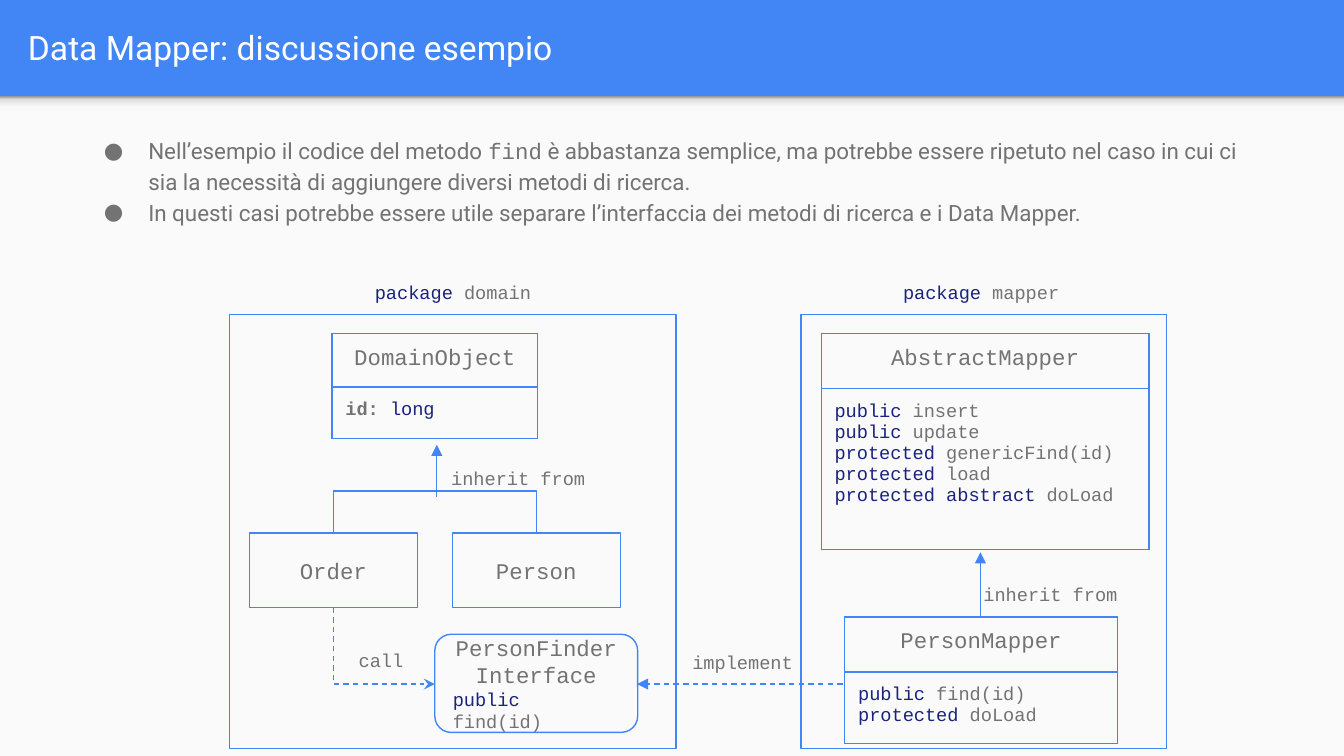
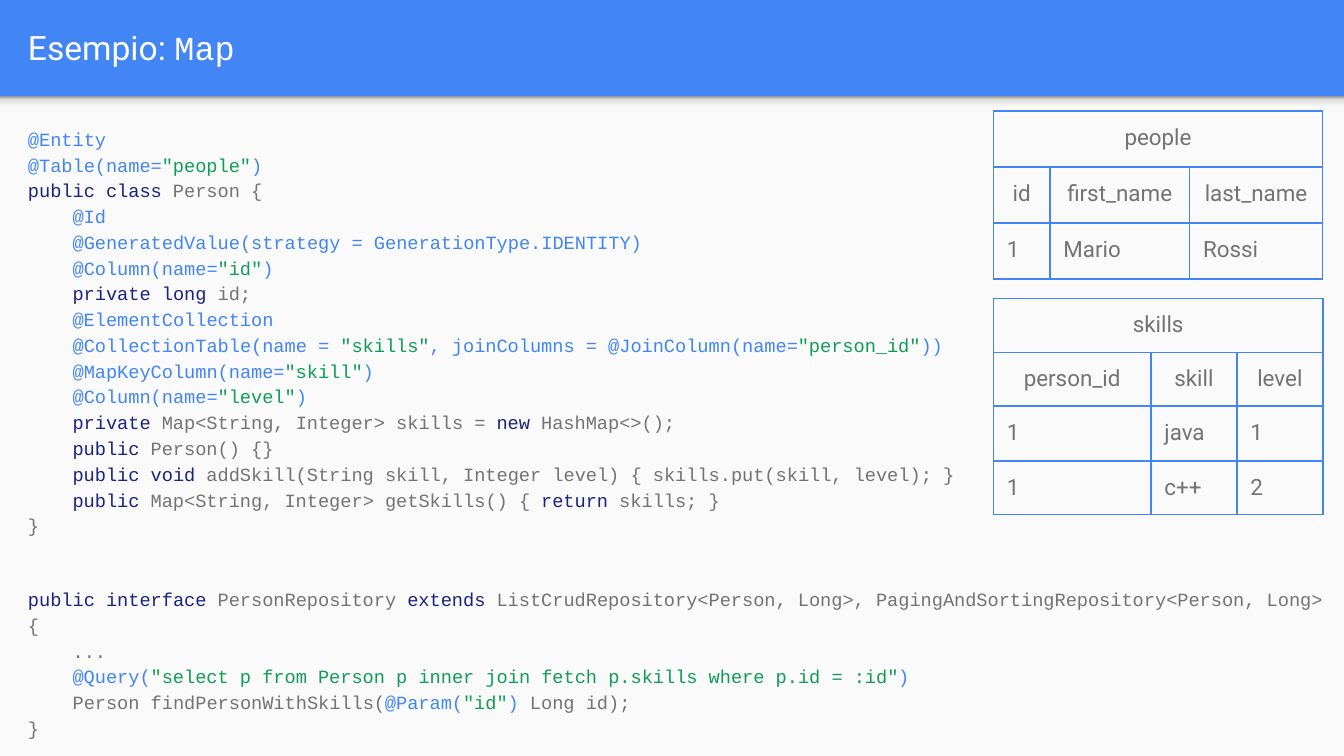
from dataclasses import dataclass

from pptx import Presentation
from pptx.dml.color import RGBColor
from pptx.enum.dml import MSO_LINE
from pptx.enum.shapes import MSO_CONNECTOR, MSO_SHAPE
from pptx.enum.text import MSO_ANCHOR, PP_ALIGN
from pptx.oxml import parse_xml
from pptx.oxml.ns import nsdecls, qn
from pptx.oxml.xmlchemy import OxmlElement
from pptx.util import Inches, Pt

COLUMNS, ROWS = 100, 56.25
UNIT = Inches(10) / COLUMNS
MARGIN = Inches(0.1)
LINE_WIDTH = Pt(0.75)
CODE_SPACING = 1.15
TABLE_FRAME_SIDE = 32.8

COLORS = {
    "blue": "4285F4",
    "paper": "FAFAFA",
    "white": "FFFFFF",
    "gray": "737373",
    "navy": "1A237E",
    "green": "0F9D58",
}
SHADOW_STOPS = [(0, "F9F9F9"), (36, "F9F9F9"), (80, "DEDEDE"), (100, "999999")]

STYLES = {
    "h": ("Roboto", 18, "white", False),
    "m": ("Courier New", 18, "white", False),
    "r": ("Roboto", 12, "gray", False),
    "n": ("Courier New", 12, "gray", False),
    "t": ("Courier New", 10, "gray", False),
    "b": ("Courier New", 10, "gray", True),
    "k": ("Courier New", 10, "navy", False),
    "a": ("Courier New", 10, "blue", False),
    "s": ("Courier New", 10, "green", False),
}

ENTITY_CODE = """~a@Entity
~a@Table(name=~s"people"~a)
~kpublic class~t Person {
~t    ~a@Id
~a    @GeneratedValue(strategy = GenerationType.IDENTITY)
~a    @Column(name=~s"id"~a)
~t    ~kprivate long~t id;
~t    ~a@ElementCollection
~a    @CollectionTable(name = ~s"skills"~a, joinColumns = @JoinColumn(name=~s"person_id"~a))
~a    @MapKeyColumn(name=~s"skill"~a)
~a    @Column(name=~s"level"~a)
~t    ~kprivate~t Map<String, Integer> skills = ~knew~t HashMap<>();
~t    ~kpublic~t Person() {}
~t    ~kpublic void~t addSkill(String skill, Integer level) { skills.put(skill, level); }
~t    ~kpublic~t Map<String, Integer> getSkills() { ~kreturn~t skills; }
~t}"""

REPOSITORY_CODE = """~kpublic interface~t PersonRepository ~kextends~t ListCrudRepository<Person, Long>, PagingAndSortingRepository<Person, Long> {
~t    ...
~t    ~a@Query(~s"select p from Person p inner join fetch p.skills where p.id = :id"~a)
~t    Person findPersonWithSkills(~a@Param(~s"id"~a)~t Long id);
~t}"""

DISCUSSION = """~rNell’esempio il codice del metodo ~nfind~r è abbastanza semplice, ma potrebbe essere ripetuto nel caso in cui ci sia la necessità di aggiungere diversi metodi di ricerca.
~rIn questi casi potrebbe essere utile separare l’interfaccia dei metodi di ricerca e i Data Mapper."""

ABSTRACT_METHODS = """~kpublic ~tinsert
~kpublic~t update
~kprotected~t genericFind(id)
~kprotected~t load
~kprotected abstract ~tdoLoad"""

PERSON_METHODS = """~kpublic~t find(id)
~kprotected~t doLoad"""


def units(value):
    return round(value * UNIT)


@dataclass
class Box:
    left: float
    top: float
    width: float
    height: float

    def inside(self, left, top, width, height):
        return Box(self.left + left, self.top + top, width, height)

    def point(self, column, row):
        return self.left + column, self.top + row

    def emu(self):
        return [units(v) for v in (self.left, self.top, self.width, self.height)]


def rgb(name):
    return RGBColor.from_string(COLORS[name])


def xml_child(parent, tag, **attributes):
    child = OxmlElement(tag)
    for key, value in attributes.items():
        child.set(key, str(value))
    parent.append(child)
    return child


def set_margins(holder):
    holder.margin_left = holder.margin_right = MARGIN
    holder.margin_top = holder.margin_bottom = MARGIN


def add_bullet(paragraph):
    properties = paragraph._p.get_or_add_pPr()
    properties.set("marL", str(Inches(0.5)))
    properties.set("indent", str(-Inches(0.33)))
    xml_child(xml_child(properties, "a:buClr"), "a:srgbClr", val=COLORS["gray"])
    xml_child(properties, "a:buSzPts", val=1200)
    xml_child(properties, "a:buFont", typeface="Roboto")
    xml_child(properties, "a:buChar", char="●")


def write(text_frame, markup, align=PP_ALIGN.LEFT, spacing=None, bullets=False):
    text_frame.word_wrap = True
    for index, line in enumerate(markup.split("\n")):
        paragraph = text_frame.add_paragraph() if index else text_frame.paragraphs[0]
        paragraph.alignment = align
        if spacing:
            paragraph.line_spacing = spacing
        if bullets:
            add_bullet(paragraph)
        for piece in line.split("~")[1:]:
            font_name, size, color, bold = STYLES[piece[0]]
            run = paragraph.add_run()
            run.text = piece[1:]
            run.font.name = font_name
            run.font.size = Pt(size)
            run.font.bold = bold
            run.font.color.rgb = rgb(color)


def add_text(slide, box, markup, anchor=MSO_ANCHOR.TOP, **options):
    text_frame = slide.shapes.add_textbox(*box.emu()).text_frame
    set_margins(text_frame)
    text_frame.vertical_anchor = anchor
    write(text_frame, markup, **options)


def add_label(slide, box, markup):
    add_text(slide, box, markup, MSO_ANCHOR.MIDDLE, align=PP_ALIGN.CENTER)


def add_frame(slide, box, markup=None, kind=MSO_SHAPE.RECTANGLE):
    shape = slide.shapes.add_shape(kind, *box.emu())
    shape.shadow.inherit = False
    shape.fill.background()
    shape.line.color.rgb = rgb("blue")
    shape.line.width = LINE_WIDTH
    if markup:
        set_margins(shape.text_frame)
        shape.text_frame.vertical_anchor = MSO_ANCHOR.MIDDLE
        write(shape.text_frame, markup, PP_ALIGN.CENTER)
    return shape


def add_line(slide, begin, end, arrow=None, dashed=False, kind=MSO_CONNECTOR.STRAIGHT):
    ends = [units(value) for value in begin + end]
    connector = slide.shapes.add_connector(kind, *ends)
    connector.line.color.rgb = rgb("blue")
    connector.line.width = LINE_WIDTH
    if dashed:
        connector.line.dash_style = MSO_LINE.DASH
    properties = connector._element.spPr
    if arrow:
        xml_child(properties.find(qn("a:ln")), "a:tailEnd", type=arrow)
    xml_child(properties, "a:effectLst")
    return connector


def add_vertical_elbow(slide, begin, end, preset, adjustment=None, **options):
    connector = add_line(slide, begin, end, kind=MSO_CONNECTOR.ELBOW, **options)
    width, height = connector.width, connector.height
    connector.left += (width - height) // 2
    connector.top += (height - width) // 2
    connector.width, connector.height = height, width
    properties = connector._element.spPr
    transform = properties.find(qn("a:xfrm"))
    transform.set("rot", "16200000")
    transform.set("flipH", "1")
    geometry = properties.find(qn("a:prstGeom"))
    geometry.set("prst", preset)
    if adjustment is not None:
        formula = f"val {round(adjustment * 100000)}"
        xml_child(geometry.find(qn("a:avLst")), "a:gd", name="adj1", fmla=formula)


def add_borders(cell):
    properties = cell._tc.get_or_add_tcPr()
    for index, side in enumerate("LRTB"):
        border = parse_xml(
            f'<a:ln{side} {nsdecls("a")} w="{LINE_WIDTH}"><a:solidFill>'
            f'<a:srgbClr val="{COLORS["blue"]}"/></a:solidFill></a:ln{side}>'
        )
        properties.insert(index, border)


def add_grid(slide, corner, widths, heights, content, centered_rows=1):
    box = Box(*corner, TABLE_FRAME_SIDE, TABLE_FRAME_SIDE)
    graphic_frame = slide.shapes.add_table(len(heights), len(widths), *box.emu())
    table = graphic_frame.table
    table.first_row = table.horz_banding = False
    for column, width in zip(table.columns, widths):
        column.width = units(width)
    for index, (row, height, texts) in enumerate(zip(table.rows, heights, content)):
        row.height = units(height)
        align = PP_ALIGN.CENTER if index < centered_rows else PP_ALIGN.LEFT
        for cell in row.cells:
            set_margins(cell)
            cell.fill.background()
            add_borders(cell)
        for cell, markup in zip(row.cells, texts):
            write(cell.text_frame, markup, align)
    if len(widths) > 1:
        table.cell(0, 0).merge(table.cell(0, len(widths) - 1))
    graphic_frame.width = graphic_frame.height = units(TABLE_FRAME_SIDE)


def add_page(presentation, title):
    slide = presentation.slides.add_slide(presentation.slide_layouts[6])
    background = slide.background.fill
    background.solid()
    background.fore_color.rgb = rgb("blue")
    page = Box(0, 7.17, COLUMNS, ROWS - 7.17)
    paper = slide.shapes.add_shape(MSO_SHAPE.RECTANGLE, *page.emu())
    shadow = slide.shapes.add_shape(MSO_SHAPE.RECTANGLE, *page.inside(0, 0, COLUMNS, 1.2).emu())
    for shape in (paper, shadow):
        shape.shadow.inherit = False
        shape.line.fill.background()
    paper.fill.solid()
    paper.fill.fore_color.rgb = rgb("paper")
    shadow.fill.gradient()
    shadow.fill.gradient_angle = 90
    stops = shadow._element.spPr.find(qn("a:gradFill")).find(qn("a:gsLst"))
    for stop in list(stops):
        stops.remove(stop)
    for position, color in SHADOW_STOPS:
        xml_child(xml_child(stops, "a:gs", pos=position * 1000), "a:srgbClr", val=color)
    add_text(slide, Box(1.1, 0.2, 96.5, 6.6), title, MSO_ANCHOR.MIDDLE)
    return slide


def add_domain_package(slide, box):
    add_frame(slide, box)
    add_text(slide, box.inside(5.7, -3.35, 21.8, 3.7), "~kpackage~t domain", align=PP_ALIGN.CENTER)
    add_grid(slide, box.point(7.6, 1.4), [15.3], [3.6, 3.8], [["~nDomainObject"], ["~bid: ~klong"]])
    finder = add_frame(
        slide, box.inside(15.25, 23.8, 15.1, 7.3),
        "~nPersonFinderInterface\n~kpublic~t find(id)", MSO_SHAPE.ROUNDED_RECTANGLE,
    )
    finder.text_frame.paragraphs[1].alignment = PP_ALIGN.LEFT
    for left, name in ((1.45, "~nOrder"), (16.55, "~nPerson")):
        add_frame(slide, box.inside(left, 16.25, 12.5, 5.55), name)
    rise, drop = 2.6, 0.01
    add_vertical_elbow(
        slide, box.point(7.7, 16.2), box.point(22.8, 16.2 + drop), "bentConnector3", -rise / drop
    )
    add_line(slide, box.point(15.4, 13.6), box.point(15.4, 9.7), "triangle")
    add_label(slide, box.inside(15.2, 10.5, 12.5, 3.3), "~tinherit from")
    add_vertical_elbow(
        slide, box.point(7.7, 21.8), box.point(15.25, 27.5), "bentConnector2",
        arrow="stealth", dashed=True,
    )
    add_label(slide, box.inside(8.4, 24.1, 5.7, 3.3), "~tcall")


def add_mapper_package(slide, box):
    add_frame(slide, box)
    add_text(slide, box.inside(2.5, -3.35, 21.8, 3.7), "~kpackage~t mapper", align=PP_ALIGN.CENTER)
    add_grid(slide, box.point(1.5, 1.4), [24.4], [4.1, 12], [["~nAbstractMapper"], [ABSTRACT_METHODS]])
    add_grid(slide, box.point(3.25, 22.5), [20.3], [4.1, 4], [["~nPersonMapper"], [PERSON_METHODS]])
    add_label(slide, box.inside(12.3, 19.15, 12.5, 3.3), "~tinherit from")
    add_line(slide, box.point(13.35, 22.5), box.point(13.35, 17.7), "triangle")
    add_line(slide, box.point(3.1, 27.5), box.point(-12.2, 27.5), "triangle", dashed=True)
    add_label(slide, box.inside(-10.6, 24.2, 12.5, 3.3), "~timplement")


def add_discussion_slide(presentation):
    slide = add_page(presentation, "~hData Mapper: discussione esempio")
    add_text(slide, Box(5.05, 8.9, 89.9, 8.9), DISCUSSION, spacing=CODE_SPACING, bullets=True)
    add_domain_package(slide, Box(17.1, 23.4, 33.2, 32.3))
    add_mapper_package(slide, Box(59.6, 23.4, 27.2, 32.3))


def add_map_slide(presentation):
    slide = add_page(presentation, "~hEsempio: ~mMap")
    add_text(slide, Box(1.1, 8.25, 71.8, 32.7), ENTITY_CODE, spacing=CODE_SPACING)
    people = [["~rpeople"], ["~rid", "~rfirst_name", "~rlast_name"], ["~r1", "~rMario", "~rRossi"]]
    skills = [
        ["~rskills"],
        ["~rperson_id", "~rskill", "~rlevel"],
        ["~r1", "~rjava", "~r1"],
        ["~r1", "~rc++", "~r2"],
    ]
    add_grid(slide, (73.92, 8.25), [4.2, 10.4, 9.9], [4.17] * 3, people, 2)
    add_grid(slide, (73.92, 22.2), [11.72, 6.4, 6.4], [2.9, 3.1, 4.1, 3.3], skills, 2)
    add_text(slide, Box(1.1, 42.5, 98.5, 13.3), REPOSITORY_CODE, spacing=CODE_SPACING)


def main():
    presentation = Presentation()
    presentation.slide_width = units(COLUMNS)
    presentation.slide_height = units(ROWS)
    add_discussion_slide(presentation)
    add_map_slide(presentation)
    presentation.save("out.pptx")


if __name__ == "__main__":
    main()
